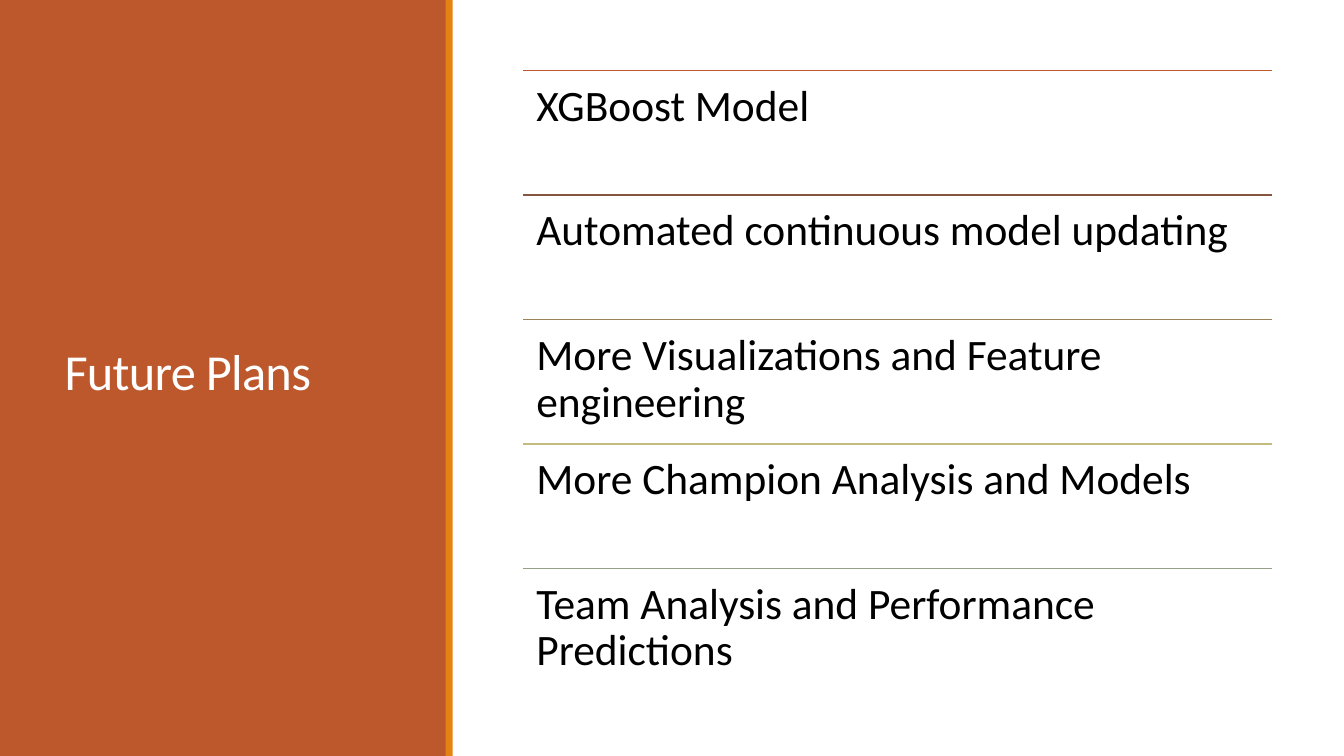
from lxml import etree
from pptx import Presentation
from pptx.dml.color import RGBColor
from pptx.enum import shapes, text
from pptx.oxml.ns import qn
from pptx.util import Inches, Pt

WHITE = RGBColor(0xFF, 0xFF, 0xFF)
BLACK = RGBColor(0x00, 0x00, 0x00)
RUST = RGBColor(0xBD, 0x58, 0x2C)
ORANGE = RGBColor(0xE4, 0x83, 0x12)
BROWN = RGBColor(0x86, 0x56, 0x40)
TAN = RGBColor(0x9B, 0x83, 0x57)
KHAKI = RGBColor(0xC2, 0xBC, 0x80)
SAGE = RGBColor(0x94, 0xA0, 0x88)


def write(tf, words, size, color, spacing, anchor, inset):
    tf.word_wrap = True
    tf.auto_size = text.MSO_AUTO_SIZE.NONE
    tf.vertical_anchor = anchor
    tf.margin_left = tf.margin_right = Inches(inset)
    tf.margin_top = tf.margin_bottom = Inches(inset)
    p = tf.paragraphs[0]
    p.alignment = text.PP_ALIGN.LEFT
    p.line_spacing = spacing
    r = p.add_run()
    r.text = words
    r.font.name = "Calibri"
    r.font.size = Pt(size)
    r.font.color.rgb = color
    return r


prs = Presentation()
prs.slide_width, prs.slide_height = Inches(13.33), Inches(7.5)
s = prs.slides.add_slide(prs.slide_layouts[5])

# Side panel and its accent strip
for left, width, color in [(0, 4.43, RUST), (4.42, 0.07, ORANGE)]:
    sp = s.shapes.add_shape(shapes.MSO_SHAPE.RECTANGLE, Inches(left), 0,
                            Inches(width), prs.slide_height)
    sp.shadow.inherit = False
    sp.fill.solid()
    sp.fill.fore_color.rgb = color
    sp.line.fill.background()

# Title, brought in front of the panel
title = s.shapes.title
title.left, title.top = Inches(0.54), Inches(0.57)
title.width, title.height = Inches(3.37), Inches(6.31)
r = write(title.text_frame, "Future Plans", size=36, color=WHITE, spacing=0.85,
          anchor=text.MSO_ANCHOR.MIDDLE, inset=0.1)
r.font._element.set("spc", "-50")
s.shapes._spTree.append(title._element)

# Plans, each under a coloured rule
plans = [
    ("XGBoost Model", RUST),
    ("Automated continuous model updating", BROWN),
    ("More Visualizations and Feature engineering", TAN),
    ("More Champion Analysis and Models", KHAKI),
    ("Team Analysis and Performance Predictions", SAGE),
]
left, width, row_height = Inches(5.19), Inches(7.43), Inches(1.24)
for i, (plan, color) in enumerate(plans):
    top = Inches(0.7 + i * 4.94 / 4)
    rule = s.shapes.add_connector(shapes.MSO_CONNECTOR.STRAIGHT,
                                  left, top, left + width, top)
    rule.line.color.rgb = color
    rule.line.width = Pt(1.25)
    etree.SubElement(rule._element.spPr, qn("a:effectLst"))
    box = s.shapes.add_textbox(left, top, width, row_height)
    write(box.text_frame, plan, size=31, color=BLACK, spacing=0.9,
          anchor=text.MSO_ANCHOR.TOP, inset=0.13)

prs.save("out.pptx")
